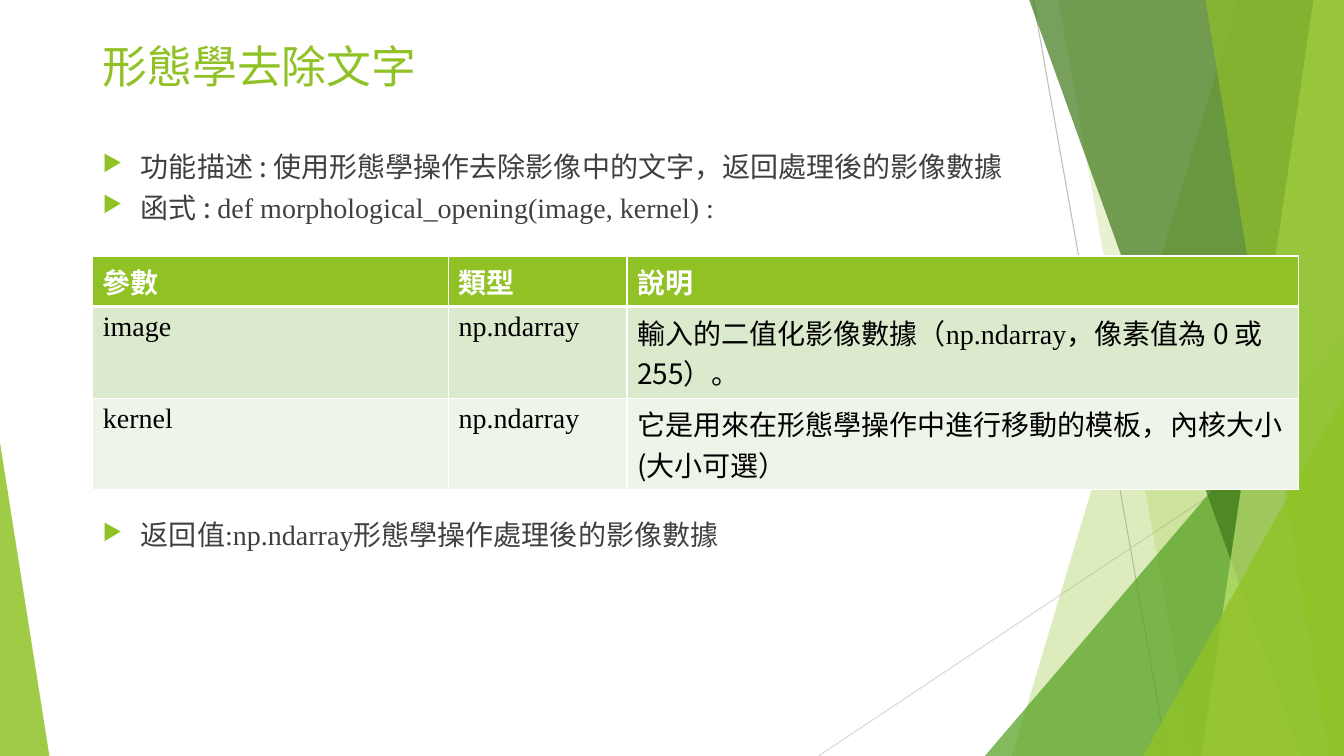
from dataclasses import dataclass

from lxml.etree import SubElement
from pptx import Presentation
from pptx.dml.color import RGBColor
from pptx.enum.shapes import MSO_CONNECTOR as CONN, MSO_SHAPE as SHAPE
from pptx.oxml.ns import qn
from pptx.util import Inches, Pt

W, H = Inches(13.333), Inches(7.5)
CJK, LATIN = "Noto Sans CJK SC", "Times New Roman"
GREEN, WHITE, BLACK, GREY = "90C226", "FFFFFF", "000000", "404040"
LEFT, TEXT_W = 6.9, 86.25


@dataclass
class Ray:
    start: tuple[float, float]
    end: tuple[float, float]
    color: str


@dataclass
class Band:
    top: float
    bottom: float
    color: str
    alpha: int


@dataclass
class Wedge:
    left: float
    top: float
    width: float
    apex: int
    color: str
    alpha: int


@dataclass
class Span:
    text: str
    font: str = CJK


@dataclass
class Bullet:
    spans: list[Span]
    before: float


RAYS = [
    Ray((76.88, 0), (86.85, 100), "BFBFBF"),
    Ray((100, 53.73), (60.9, 100), "D9D9D9"),
]
FACETS = [
    Band(92.1, 75.3, GREEN, 30),
    Band(78.75, 88.73, GREEN, 20),
    Wedge(73.28, 44.4, 26.72, 1, "54A021", 72),
    Band(76.58, 96.83, "3F7819", 70),
    Band(97.73, 89.4, "C0E474", 70),
    Band(89.7, 98.85, GREEN, 65),
    Wedge(85.05, 52.4, 14.95, 1, GREEN, 80),
    Wedge(0, 58.53, 3.68, 0, GREEN, 85),
]
BULLETS = [
    Bullet([Span("功能描述 : 使用形態學操作去除影像中的文字，返回處理後的影像數據")], 7.5),
    Bullet([Span("函式 : "), Span("def morphological_opening(image, kernel) :", LATIN)], 7.5),
    Bullet([Span("返回值"), Span(":np.ndarray", LATIN), Span("形態學操作處理後的影像數據")], 212.5),
]
NDARRAY = Span("np.ndarray", LATIN)
TABLE = [
    [[Span("參數")], [Span("類型")], [Span("說明")]],
    [[Span("image", LATIN)], [NDARRAY],
     [Span("輸入的二值化影像數據（"), NDARRAY, Span("，像素值為 0 或 255）。")]],
    [[Span("kernel", LATIN)], [NDARRAY],
     [Span("它是用來在形態學操作中進行移動的模板，內核大小(大小可選）")]],
]
COLS, ROWS = [26.48, 13.28, 49.95], [6.67, 12.13, 12.13]
ROW_FILLS = [GREEN, "DBE9CD", "EEF4E8"]


def x(share: float) -> int:
    return round(W * share / 100)


def y(share: float) -> int:
    return round(H * share / 100)


def rgb(color: str) -> RGBColor:
    return RGBColor.from_string(color)


def draw_ray(slide, ray: Ray) -> None:
    ends = [x(ray.start[0]), y(ray.start[1]), x(ray.end[0]), y(ray.end[1])]
    ln = slide.shapes.add_connector(CONN.STRAIGHT, *ends)
    ln.line.color.rgb = rgb(ray.color)
    ln.line.width = Pt(0.75)
    SubElement(ln._element.spPr, qn("a:effectLst"))


def draw_facet(slide, facet: Band | Wedge) -> None:
    if isinstance(facet, Band):
        fb = slide.shapes.build_freeform(x(facet.top), 0)
        fb.add_line_segments([(W, 0), (W, H), (x(facet.bottom), H)])
        sp = fb.convert_to_shape()
    else:
        sp = slide.shapes.add_shape(SHAPE.ISOSCELES_TRIANGLE, x(facet.left), y(facet.top),
                                    x(facet.width), y(100 - facet.top))
        sp.adjustments[0] = facet.apex
    sp.shadow.inherit = False
    sp.line.fill.background()
    sp.fill.solid()
    sp.fill.fore_color.rgb = rgb(facet.color)
    clr = sp._element.spPr.find(qn("a:solidFill"))[0]
    SubElement(clr, qn("a:alpha"), val=str(facet.alpha * 1000))


def write(p, spans: list[Span], size: int, color: str, bold: bool = False) -> None:
    for span in spans:
        r = p.add_run()
        r.text = span.text
        r.font.size, r.font.bold, r.font.name = Pt(size), bold, span.font
        r.font.color.rgb = rgb(color)
        SubElement(r._r.get_or_add_rPr(), qn("a:ea"), typeface=span.font)


def add_text(slide, top: float, height: float):
    tf = slide.shapes.add_textbox(x(LEFT), y(top), x(TEXT_W), y(height)).text_frame
    tf.word_wrap = True
    return tf


def add_bullet(p, bullet: Bullet) -> None:
    p.line_spacing, p.space_before = 0.9, Pt(bullet.before)
    pPr = p._p.get_or_add_pPr()
    pPr.set("marL", str(x(2.85)))
    pPr.set("indent", str(-x(2.85)))
    SubElement(SubElement(pPr, qn("a:buClr")), qn("a:srgbClr"), val=GREEN)
    SubElement(pPr, qn("a:buSzPct"), val="80000")
    SubElement(pPr, qn("a:buChar"), char="▶")
    write(p, bullet.spans, 20, GREY)


def style_cell(cell, fill: str, header: bool) -> None:
    tcPr = cell._tc.get_or_add_tcPr()
    for side in "LRTB":
        width = Pt(3 if header and side == "B" else 1)
        ln = SubElement(tcPr, qn(f"a:ln{side}"), w=str(width))
        SubElement(SubElement(ln, qn("a:solidFill")), qn("a:srgbClr"), val=WHITE)
    cell.fill.solid()
    cell.fill.fore_color.rgb = rgb(fill)


def add_parameters(slide) -> None:
    tbl = slide.shapes.add_table(len(ROWS), len(COLS), x(LEFT), y(33.87),
                                 x(sum(COLS)), y(sum(ROWS))).table
    for col, share in zip(tbl.columns, COLS):
        col.width = x(share)
    for i, (row, share) in enumerate(zip(tbl.rows, ROWS)):
        row.height = y(share)
        header = i == 0
        for cell, spans in zip(row.cells, TABLE[i]):
            style_cell(cell, ROW_FILLS[i], header)
            write(cell.text_frame.paragraphs[0], spans, 20, WHITE if header else BLACK, header)


def main() -> None:
    """Build the slide on morphological text removal."""
    prs = Presentation()
    prs.slide_width, prs.slide_height = W, H
    slide = prs.slides.add_slide(prs.slide_layouts[6])
    for ray in RAYS:
        draw_ray(slide, ray)
    for facet in FACETS:
        draw_facet(slide, facet)
    p = add_text(slide, 5.33, 14.27).paragraphs[0]
    p.line_spacing = 0.9
    write(p, [Span("形態學去除文字")], 32, GREEN)
    tf = add_text(slide, 19.6, 63.47)
    for i, bullet in enumerate(BULLETS):
        add_bullet(tf.add_paragraph() if i else tf.paragraphs[0], bullet)
    add_parameters(slide)
    prs.save("out.pptx")


if __name__ == "__main__":
    main()
